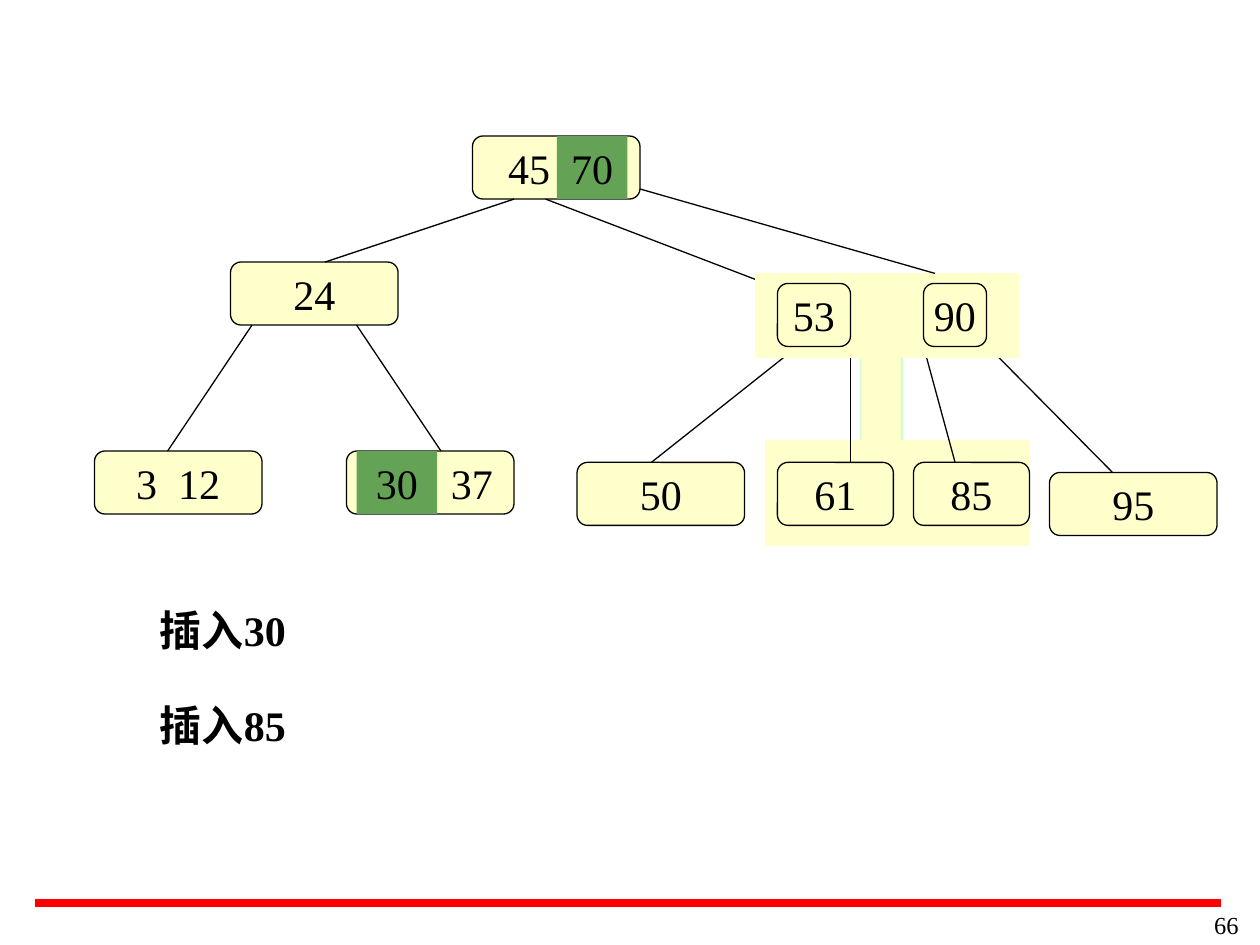
from dataclasses import dataclass

from lxml import etree
from pptx import Presentation
from pptx.dml.color import RGBColor
from pptx.enum.shapes import MSO_CONNECTOR as Connector, MSO_SHAPE as Shape
from pptx.enum.text import MSO_ANCHOR as Anchor, PP_ALIGN as Align
from pptx.oxml.ns import qn
from pptx.util import Inches, Pt


@dataclass(frozen=True)
class Theme:
    font: str = "Times New Roman"
    ink: RGBColor = RGBColor(0x00, 0x00, 0x00)
    node: RGBColor = RGBColor(0xFF, 0xFF, 0xCC)
    split: RGBColor = RGBColor(0xCC, 0xFF, 0xCC)
    inserted: RGBColor = RGBColor(0x64, 0xA3, 0x55)
    rule: RGBColor = RGBColor(0xFF, 0x00, 0x00)
    key_size: float = 24
    page_size: float = 14
    thin: float = 0.75
    thick: float = 4.5


THEME = Theme()
NODE_WIDTH, NODE_HEIGHT = 1.33, 0.5


def write(shape, text, size=THEME.key_size, align=Align.CENTER, bold=False):
    frame = shape.text_frame
    frame.text = text
    paragraph = frame.paragraphs[0]
    paragraph.alignment = align
    for run in paragraph.runs:
        run.font.name = THEME.font
        run.font.size = Pt(size)
        run.font.bold = bold
        run.font.color.rgb = THEME.ink


def add_label(slide, box, text, **style):
    label = slide.shapes.add_textbox(*map(Inches, box))
    label.text_frame.word_wrap = True
    write(label, text, **style)


def add_block(slide, box, fill, line=None, kind=Shape.RECTANGLE):
    block = slide.shapes.add_shape(kind, *map(Inches, box))
    block.shadow.inherit = False
    block.fill.solid()
    block.fill.fore_color.rgb = fill
    if line is None:
        block.line.fill.background()
    else:
        block.line.color.rgb = line
        block.line.width = Pt(THEME.thin)
    return block


def add_node(slide, left, top, keys, width=NODE_WIDTH, inset_left=0.1, inset_right=0.1):
    node = add_block(slide, (left, top, width, NODE_HEIGHT), THEME.node,
                     THEME.ink, Shape.ROUNDED_RECTANGLE)
    frame = node.text_frame
    frame.word_wrap = False
    frame.vertical_anchor = Anchor.MIDDLE
    frame.margin_left, frame.margin_right = Inches(inset_left), Inches(inset_right)
    write(node, keys)


def add_inserted_key(slide, box, key):
    mark = add_block(slide, box, THEME.inserted)
    mark.text_frame.vertical_anchor = Anchor.MIDDLE
    write(mark, key)


def add_line(slide, x1, y1, x2, y2, color=THEME.ink, width=THEME.thin):
    line = slide.shapes.add_connector(
        Connector.STRAIGHT, *map(Inches, (x1, y1, x2, y2)))
    line.line.color.rgb = color
    line.line.width = Pt(width)
    etree.SubElement(line._element.spPr, qn("a:effectLst"))


def add_tree(slide, left, top):
    """Place the whole tree; every position is relative to (left, top)."""
    def node(x, y, keys, **options):
        add_node(slide, left + x, top + y, keys, **options)

    def edges(*ends):
        for x1, y1, x2, y2 in ends:
            add_line(slide, left + x1, top + y1, left + x2, top + y2)

    def panel(x, y, width, height, line=THEME.node):
        add_block(slide, (left + x, top + y, width, height), THEME.node, line)

    # Root, left subtree and outer leaves; insets leave room for inserted keys
    node(3, 0, "45", inset_right=0.53)
    node(1.08, 1, "24")
    node(0, 2.5, "3  12")
    node(2, 2.5, "37", inset_left=0.76)
    node(3.83, 2.59, "50")
    node(7.58, 2.67, "95")
    edges((3.33, 0.5, 1.83, 1), (3.58, 0.5, 5.33, 1.17),
          (1.25, 1.5, 0.58, 2.5), (2.08, 1.5, 2.75, 2.5),
          (5.58, 1.67, 4.42, 2.59), (7.17, 1.75, 8.08, 2.67))

    # Split leaf 61 | 85
    panel(6.08, 1.67, 0.33, 0.92, THEME.split)
    panel(5.33, 2.42, 2.08, 0.83)
    for x, key in ((5.42, "61"), (6.5, "85")):
        node(x, 2.59, key, width=0.92)
    edges((6, 1.67, 6, 2.59), (6.58, 1.67, 6.83, 2.59))

    # Split inner node 53 | 90
    panel(5.25, 1.09, 2.08, 0.67)
    node(5.42, 1.17, "53", width=0.58)
    node(6.58, 1.17, "90", width=0.5)
    edges((4.33, 0.42, 6.67, 1.09))

    # Newly inserted keys
    for x, y, width, key in ((2.08, 2.5, 0.64, "30"), (3.67, 0, 0.56, "70")):
        add_inserted_key(slide, (left + x, top + y, width, NODE_HEIGHT), key)


def add_steps(slide, left, top, width, gap):
    for index, step in enumerate(("插入30", "插入85")):
        add_label(slide, (left, top + index * gap, width, 0.5), step,
                  align=Align.LEFT, bold=True)


def add_footer(slide, left, top, right):
    add_line(slide, left, top, right, top, THEME.rule, THEME.thick)
    add_label(slide, (right - 0.52, top, 0.76, 0.33), "66",
              size=THEME.page_size, align=Align.RIGHT)


def main():
    presentation = Presentation()
    presentation.slide_width = Inches(10)
    presentation.slide_height = Inches(7.5)
    slide = presentation.slides.add_slide(presentation.slide_layouts[6])
    add_footer(slide, 0.28, 7.17, 9.69)
    add_tree(slide, 0.75, 1.08)
    add_steps(slide, 1.17, 4.75, 3, 0.75)
    presentation.save("out.pptx")


if __name__ == "__main__":
    main()
